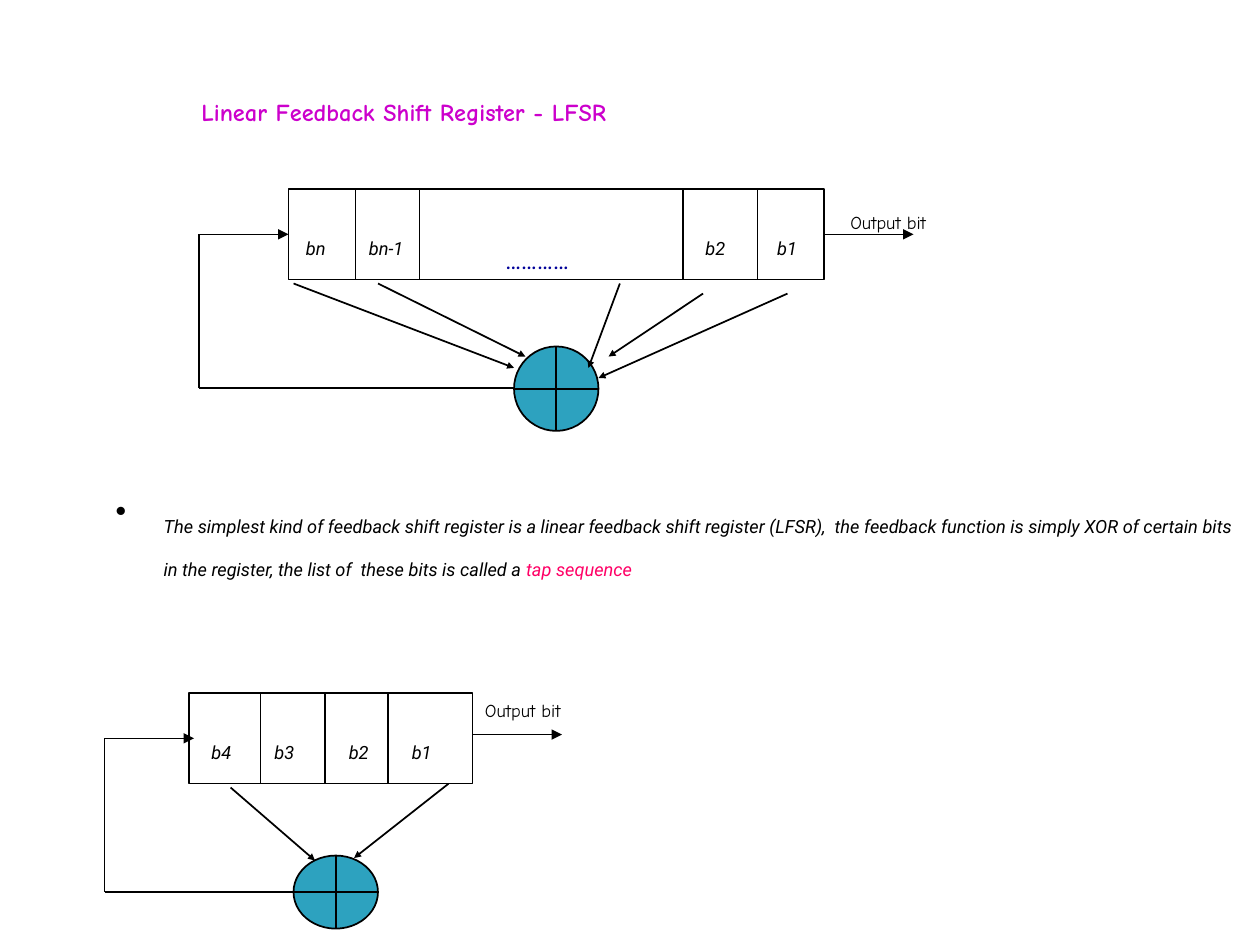
from lxml.etree import SubElement
from pptx import Presentation
from pptx.dml.color import RGBColor
from pptx.enum.shapes import MSO_CONNECTOR, MSO_SHAPE as Shape
from pptx.enum.text import MSO_AUTO_SIZE as AutoSize
from pptx.oxml.ns import qn
from pptx.util import Inches, Pt

BLACK, WHITE, TEAL = "000000", "FFFFFF", "2DA2BF"
MAGENTA, PINK, NAVY = "CC00CC", "FF0066", "000099"
HEADING, BODY = "Comic Neue", "Roboto"
CELL_HEIGHT = 0.72


def color(value):
    return RGBColor.from_string(value)


class Diagram:
    """Draws shift register elements in one style on the current slide."""

    def __init__(self, slide):
        self.shapes = slide.shapes

    def text(self, left, top, width, height, runs, font, size=18,
             bold=False, italic=False, bullet=False):
        box = self.shapes.add_textbox(
            Inches(left), Inches(top), Inches(width), Inches(height))
        frame = box.text_frame
        frame.word_wrap = bullet
        frame.auto_size = AutoSize.SHAPE_TO_FIT_TEXT
        paragraph = frame.paragraphs[0]
        if bullet:
            properties = paragraph._p.get_or_add_pPr()
            properties.set("marL", str(Inches(0.38)))
            properties.set("indent", str(Inches(-0.38)))
            SubElement(properties, qn("a:buChar")).set("char", "•")
        style = paragraph.font
        style.name, style.size = font, Pt(size)
        style.bold, style.italic = bold, italic
        for words, ink in runs:
            run = paragraph.add_run()
            run.text = words
            run.font.color.rgb = color(ink)
            run._r.get_or_add_rPr().set("baseline", "-25000")

    def block(self, kind, left, top, width, height, fill, weight):
        block = self.shapes.add_shape(
            kind, Inches(left), Inches(top), Inches(width), Inches(height))
        block.shadow.inherit = False
        block.fill.solid()
        block.fill.fore_color.rgb = color(fill)
        block.line.color.rgb = color(BLACK)
        block.line.width = Pt(weight)

    def line(self, start, end, weight=0.75, head=None):
        line = self.shapes.add_connector(
            MSO_CONNECTOR.STRAIGHT, *map(Inches, (*start, *end)))
        line.line.color.rgb = color(BLACK)
        line.line.width = Pt(weight)
        properties = line._element.spPr
        if head:
            tail = SubElement(properties.find(qn("a:ln")), qn("a:tailEnd"))
            for key, value in (("type", "triangle"), ("w", head), ("len", head)):
                tail.set(key, value)
        SubElement(properties, qn("a:effectLst"))

    def register(self, left, top, width, dividers, bits):
        self.block(Shape.RECTANGLE, left, top, width, CELL_HEIGHT, WHITE, 0.75)
        for x in dividers:
            self.line((x, top), (x, top + CELL_HEIGHT))
        for name, x in bits.items():
            label_width = 0.43 if len(name) == 2 else 0.6
            self.text(x, top + 0.17, label_width, 0.4, [(name, BLACK)],
                      BODY, italic=True)

    def feedback(self, left, entry_x, entry_y, xor_x):
        bottom = entry_y + 1.22
        self.line((left, bottom), (left, entry_y))
        self.line((left, entry_y), (entry_x, entry_y), head="med")
        self.line((left, bottom), (xor_x, bottom), weight=1)

    def output(self, x, y, label_x, label_y):
        self.line((x, y), (x + 0.71, y), head="med")
        self.text(label_x, label_y, 1.43, 0.4, [("Output bit", BLACK)], HEADING)

    def xor(self, left, top, height, taps):
        self.block(Shape.FLOWCHART_OR, left, top, 0.67, height, TEAL, 1)
        for start, end in taps:
            self.line(start, end, weight=1, head="sm")


def main():
    deck = Presentation()
    deck.slide_width, deck.slide_height = Inches(10), Inches(7.5)
    diagram = Diagram(deck.slides.add_slide(deck.slide_layouts[6]))

    diagram.text(1.5, 0.5, 6.62, 0.5,
                 [("Linear Feedback Shift Register - LFSR", MAGENTA)],
                 HEADING, size=24, bold=True)

    diagram.register(2.29, 1.5, 4.25, (2.82, 3.33, 5.42, 6.01),
                     {"bn": 2.33, "bn-1": 2.83, "b2": 5.5, "b1": 6.07})
    diagram.text(3.92, 1.67, 0.85, 0.37, [("…………", NAVY)],
                 BODY, size=24, italic=True)
    diagram.feedback(1.58, 2.29, 1.86, 4.08)
    diagram.output(6.54, 1.86, 6.65, 1.46)
    diagram.xor(4.08, 2.75, 0.67, [
        ((2.33, 2.25), (4.08, 2.92)),
        ((3, 2.25), (4.17, 2.83)),
        ((4.92, 2.25), (4.67, 2.92)),
        ((5.58, 2.33), (4.83, 2.83)),
        ((6.25, 2.33), (4.75, 3)),
    ])

    definition = ("The simplest kind of feedback shift register is a linear "
                  "feedback shift register (LFSR),  the feedback function is "
                  "simply XOR of certain bits in the register, the list of  "
                  "these bits is called a ")
    diagram.text(0.82, 3.87, 9.18, 1.3,
                 [(definition, BLACK), ("tap sequence", PINK)],
                 BODY, italic=True, bullet=True)

    diagram.register(1.5, 5.5, 2.25, (2.07, 2.58, 3.08),
                     {"b4": 1.58, "b3": 2.08, "b2": 2.67, "b1": 3.17})
    diagram.feedback(0.83, 1.54, 5.86, 2.33)
    diagram.output(3.75, 5.83, 3.75, 5.33)
    diagram.xor(2.33, 6.79, 0.58, [
        ((1.83, 6.25), (2.5, 6.83)),
        ((3.56, 6.22), (2.81, 6.81)),
    ])
    deck.save("out.pptx")


if __name__ == "__main__":
    main()
